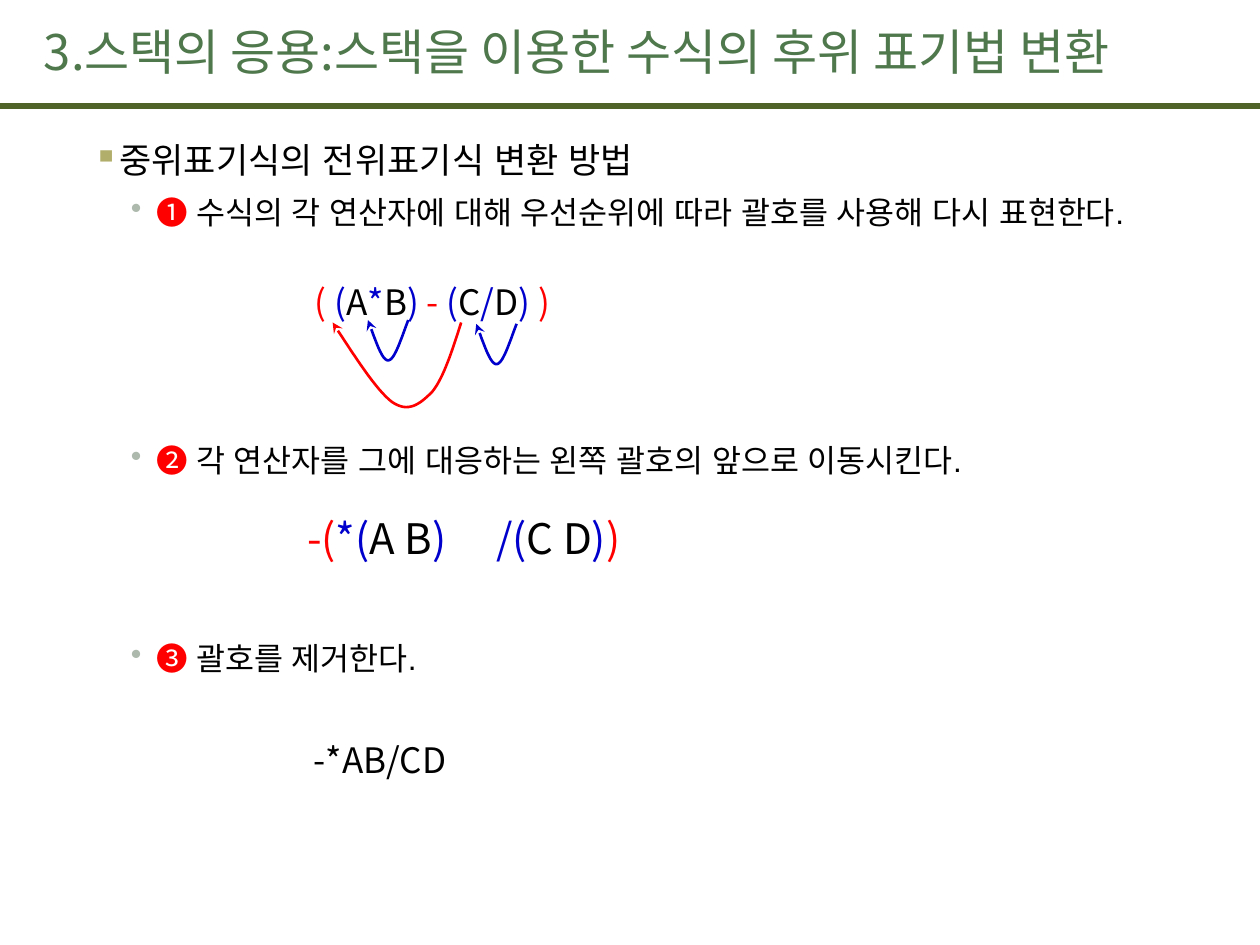
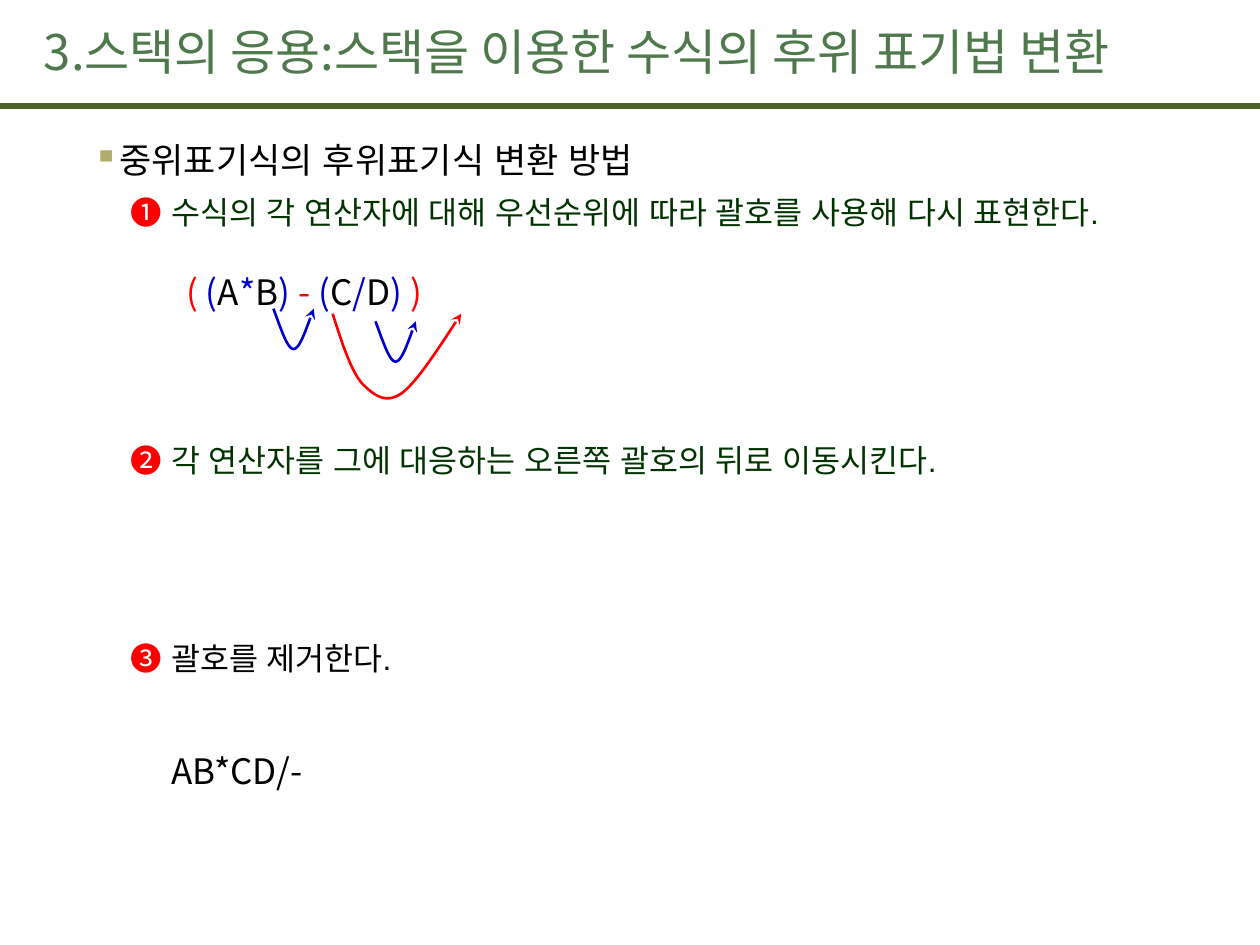
from dataclasses import dataclass
from typing import NamedTuple, Optional

from lxml import etree
from pptx import Presentation
from pptx import util as u
from pptx.dml.color import RGBColor
from pptx.enum import shapes, text
from pptx.oxml import ns


@dataclass(frozen=True)
class Theme:
    title: str = "4F784C"
    band: str = "4F6228"
    ink: str = "000000"
    step_green: str = "003300"
    outer: str = "FF0000"
    inner: str = "0000CC"
    heading_bullet: str = "B1AE6B"
    step_bullet: str = "ADB9AD"
    body_font: str = "Arial"
    display_font: str = "Noto Sans CJK KR"
    title_size: float = 28
    moved_size: float = 24
    heading_size: float = 20
    step_size: float = 18
    band_width: float = 3.75
    curve_width: float = 1.5


THEME = Theme()
TITLE = "3.스택의 응용:스택을 이용한 수식의 후위 표기법 변환"
STEP_GAPS = (4, 117, 88.5)  # points above each step, leaving room for its formula


class Run(NamedTuple):
    text: str
    color: str = THEME.ink


class Box(NamedTuple):
    left: float
    top: float
    width: float
    height: float


class Formula(NamedTuple):
    box: Box
    runs: list[Run]
    indent: float = 1
    size: float = THEME.heading_size
    tab: Optional[float] = None


class Arc(NamedTuple):
    """A curved arrow; direction is 1 to the right and -1 to the left."""
    start: tuple[float, float]
    outline: list[tuple[float, float]]
    direction: int
    color: str


class Method(NamedTuple):
    heading: str
    body: Box
    title_width: float
    bulleted: bool
    steps: list[Run]
    formulas: list[Formula]
    arcs: list[Arc]


# Bezier outlines, measured from the start of each arc
SHORT_HOP = [(0, 0), (0.06, 0.16), (0.11, 0.32), (0.16, 0.32),
             (0.21, 0.32), (0.26, 0.16), (0.32, 0)]
LONG_HOP = [(0, 0), (0.07, 0.22), (0.14, 0.44), (0.23, 0.55), (0.33, 0.65),
            (0.42, 0.72), (0.55, 0.63), (0.68, 0.53), (0.85, 0.26), (1.02, 0)]

R, B = THEME.outer, THEME.inner
INFIX = [Run("( ", R), Run("(", B), Run("A"), Run("*", B), Run("B"),
         Run(") ", B), Run("- ", R), Run("(", B), Run("C"), Run("/", B),
         Run("D"), Run(") ", B), Run(")", R)]
MOVED = [Run("-(", R), Run("*(", B), Run("A B"), Run(")\t/(", B),
         Run("C D"), Run(")", B), Run(")", R)]
BRACKET_STEP = "수식의 각 연산자에 대해 우선순위에 따라 괄호를 사용해 다시 표현한다."
REMOVE_STEP = "괄호를 제거한다."

METHODS = [
    Method(
        "중위표기식의 전위표기식 변환 방법", Box(0.25, 1.02, 9.63, 6.25), 9.71, True,
        [Run(BRACKET_STEP),
         Run("각 연산자를 그에 대응하는 왼쪽 괄호의 앞으로 이동시킨다."),
         Run(REMOVE_STEP)],
        [Formula(Box(1.4, 2.18, 3.44, 0.44), INFIX),
         Formula(Box(2.34, 4.02, 5, 0.77), MOVED, indent=0,
                 size=THEME.moved_size, tab=1.26),
         Formula(Box(1.39, 5.81, 2.53, 0.44), [Run("-*AB/CD")])],
        [Arc((3.24, 2.54), SHORT_HOP, -1, B),
         Arc((4.1, 2.57), SHORT_HOP, -1, B),
         Arc((3.66, 2.56), LONG_HOP, -1, R)],
    ),
    Method(
        "중위표기식의 후위표기식 변환 방법", Box(0.25, 1.02, 9.5, 6.25), 9.75, False,
        [Run(BRACKET_STEP, THEME.step_green),
         Run("각 연산자를 그에 대응하는 오른쪽 괄호의 뒤로 이동시킨다.", THEME.step_green),
         Run(REMOVE_STEP)],
        [Formula(Box(1.22, 2.1, 2.99, 0.44), INFIX, indent=0.16),
         Formula(Box(0.26, 5.9, 2.53, 0.44), [Run("AB*CD/-")])],
        [Arc((2.17, 2.45), SHORT_HOP, 1, B),
         Arc((2.98, 2.55), SHORT_HOP, 1, B),
         Arc((2.64, 2.49), LONG_HOP, 1, R)],
    ),
]


def add_child(parent, tag: str, **attributes: str):
    child = etree.SubElement(parent, ns.qn(tag))
    for key, value in attributes.items():
        child.set(key, value)
    return child


def add_frame(slide, box: Box, anchor=text.MSO_ANCHOR.TOP):
    frame = slide.shapes.add_textbox(*map(u.Inches, box)).text_frame
    frame.word_wrap = True
    frame.vertical_anchor = anchor
    return frame


def format_paragraph(paragraph, *, left: float = 0, hanging: float = 0,
                     bullet: str = "", bullet_color: str = "",
                     tab: Optional[float] = None, before: float = 0,
                     after: float = 0, line: float = 1) -> None:
    properties = paragraph._p.get_or_add_pPr()
    properties.set("marL", str(u.Inches(left)))
    properties.set("indent", str(u.Inches(-hanging)))
    if bullet:
        color = add_child(properties, "a:buClr")
        add_child(color, "a:srgbClr", val=bullet_color)
        add_child(properties, "a:buChar", char=bullet)
    else:
        add_child(properties, "a:buNone")
    if tab is not None:
        stops = add_child(properties, "a:tabLst")
        add_child(stops, "a:tab", pos=str(u.Inches(tab)), algn="l")
    paragraph.line_spacing = line
    paragraph.space_before = u.Pt(before)
    paragraph.space_after = u.Pt(after)


def write(paragraph, words: str, *, size: float, color: str = THEME.ink,
          font: str = THEME.display_font) -> None:
    run = paragraph.add_run()
    run.text = words
    run.font.size = u.Pt(size)
    run.font.name = font
    run.font.color.rgb = RGBColor.from_string(color)
    add_child(run._r.get_or_add_rPr(), "a:ea", typeface=font)


def draw_header(slide, title_width: float) -> None:
    band = slide.shapes.add_connector(
        shapes.MSO_CONNECTOR.STRAIGHT, u.Inches(0), u.Inches(0.84),
        u.Inches(10), u.Inches(0.84))
    band.line.color.rgb = RGBColor.from_string(THEME.band)
    band.line.width = u.Pt(THEME.band_width)
    add_child(band._element.spPr, "a:effectLst")
    frame = add_frame(slide, Box(0.25, 0.09, title_width, 0.63),
                      text.MSO_ANCHOR.MIDDLE)
    write(frame.paragraphs[0], TITLE, size=THEME.title_size, color=THEME.title)


def draw_steps(slide, method: Method) -> None:
    frame = add_frame(slide, method.body)
    heading = frame.paragraphs[0]
    format_paragraph(heading, left=0.59, hanging=0.2, bullet="▪",
                     bullet_color=THEME.heading_bullet, after=3, line=1.1)
    write(heading, method.heading, size=THEME.heading_size,
          font=THEME.body_font)
    for number, step, gap in zip("➊➋➌", method.steps, STEP_GAPS):
        paragraph = frame.add_paragraph()
        format_paragraph(paragraph, left=0.89, hanging=0.2,
                         bullet="•" if method.bulleted else "",
                         bullet_color=THEME.step_bullet, before=gap, after=3)
        for run in (Run(number + " ", THEME.outer), step):
            write(paragraph, run.text, size=THEME.step_size, color=run.color,
                  font=THEME.body_font)


def draw_formula(slide, formula: Formula) -> None:
    paragraph = add_frame(slide, formula.box).paragraphs[0]
    format_paragraph(paragraph, left=formula.indent, tab=formula.tab)
    for run in formula.runs:
        write(paragraph, run.text, size=formula.size, color=run.color)


def trace(outline: list[tuple[float, float]],
          steps: int = 16) -> list[tuple[float, float]]:
    """Points along a chain of cubic Bezier curves."""
    points = [outline[0]]
    for first in range(0, len(outline) - 1, 3):
        controls = outline[first:first + 4]
        for step in range(1, steps + 1):
            t = step / steps
            weights = ((1 - t) ** 3, 3 * t * (1 - t) ** 2,
                       3 * t ** 2 * (1 - t), t ** 3)
            points.append((sum(w * x for w, (x, _) in zip(weights, controls)),
                           sum(w * y for w, (_, y) in zip(weights, controls))))
    return points


def draw_arc(slide, arc: Arc) -> None:
    left, top = arc.start
    points = [(u.Inches(left + arc.direction * x), u.Inches(top + y))
              for x, y in trace(arc.outline)]
    builder = slide.shapes.build_freeform(*points[0])
    builder.add_line_segments(points[1:], close=False)
    curve = builder.convert_to_shape()
    curve.shadow.inherit = False
    curve.fill.background()
    curve.line.color.rgb = RGBColor.from_string(arc.color)
    curve.line.width = u.Pt(THEME.curve_width)
    add_child(curve.line._get_or_add_ln(), "a:tailEnd", type="stealth")


def main() -> None:
    deck = Presentation()
    deck.slide_width, deck.slide_height = u.Inches(10), u.Inches(7.5)
    for method in METHODS:
        slide = deck.slides.add_slide(deck.slide_layouts[6])
        draw_header(slide, method.title_width)
        draw_steps(slide, method)
        for formula in method.formulas:
            draw_formula(slide, formula)
        for arc in method.arcs:
            draw_arc(slide, arc)
    deck.save("out.pptx")


if __name__ == "__main__":
    main()
